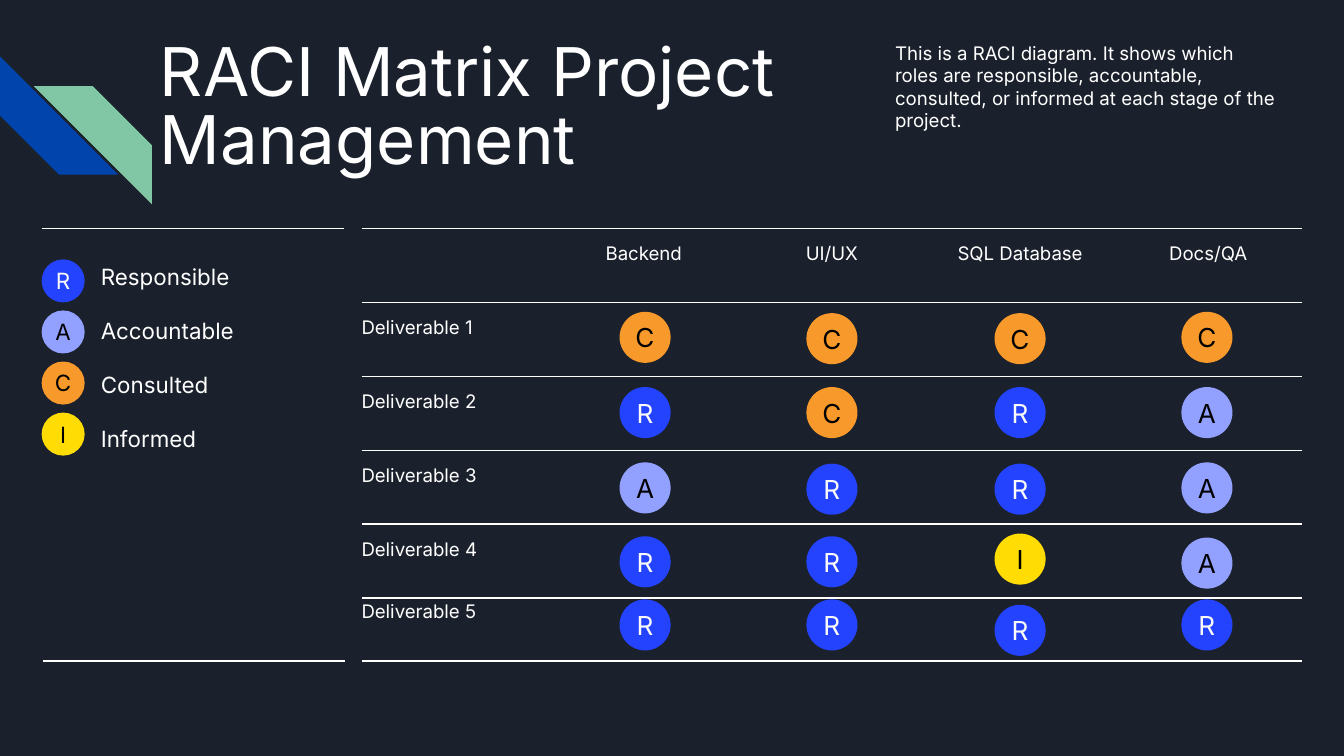
from dataclasses import dataclass

import pptx
import pptx.dml.color
import pptx.enum.shapes
import pptx.enum.text
import pptx.oxml.ns
import pptx.util
from lxml import etree
from pptx.util import Inches


@dataclass(frozen=True)
class Theme:
    font: str = "Inter"
    background: str = "1B212C"
    text: str = "FFFFFF"
    stripe_blue: str = "0145AC"
    stripe_green: str = "82C7A5"
    title: int = 36
    legend: int = 12
    badge: int = 14
    body: int = 10


theme = Theme()
rgb = pptx.dml.color.RGBColor.from_string
qn = pptx.oxml.ns.qn
MSO_SHAPE = pptx.enum.shapes.MSO_SHAPE
PP_ALIGN = pptx.enum.text.PP_ALIGN
MSO_ANCHOR = pptx.enum.text.MSO_ANCHOR

ROLES = {
    "R": ("Responsible", "2443FF", "FAFAFA"),
    "A": ("Accountable", "92A1FF", "000000"),
    "C": ("Consulted", "F8992B", "000000"),
    "I": ("Informed", "FFDD04", "000000"),
}


def write(s, lines, size, color=theme.text, align=PP_ALIGN.LEFT,
          anchor=MSO_ANCHOR.TOP, right=0, gap=0, spacing=1.0):
    tf = s.text_frame
    tf.word_wrap = True
    tf.auto_size = pptx.enum.text.MSO_AUTO_SIZE.NONE
    tf.vertical_anchor = anchor
    tf.margin_left = tf.margin_top = tf.margin_bottom = 0
    tf.margin_right = Inches(right)
    for i, line in enumerate(lines):
        p = tf.paragraphs[0] if i == 0 else tf.add_paragraph()
        p.alignment = align
        p.line_spacing = spacing
        p.space_before = pptx.util.Pt(gap if i else 0)
        if s.is_placeholder:
            pPr = p._p.get_or_add_pPr()
            pPr.set("marL", "0")
            pPr.set("indent", "0")
            etree.SubElement(pPr, qn("a:buNone"))
        r = p.add_run()
        r.text = line
        r.font.name = theme.font
        r.font.size = pptx.util.Pt(size)
        r.font.color.rgb = rgb(color)


def add_filled(kind, x, y, size, color):
    s = slide.shapes.add_shape(kind, Inches(x), Inches(y), Inches(size), Inches(size))
    s.shadow.inherit = False
    s.fill.solid()
    s.fill.fore_color.rgb = rgb(color)
    s.line.fill.background()
    return s


prs = pptx.Presentation()
prs.slide_width = Inches(10)
prs.slide_height = prs.slide_width * 9 // 16
slide = prs.slides.add_slide(prs.slide_layouts[1])
slide.background.fill.solid()
slide.background.fill.fore_color.rgb = rgb(theme.background)

for x, y, angle, color in [(0, 0.42, 270, theme.stripe_blue),
                           (0.25, 0.64, 90, theme.stripe_green)]:
    s = add_filled(MSO_SHAPE.DIAGONAL_STRIPE, x, y, 0.88, color)
    s.rotation = angle

title = slide.shapes.title
title.left, title.top, title.width, title.height = map(Inches, (1.19, 0.31, 4.91, 1.03))
write(title, ["RACI Matrix Project Management"], theme.title, spacing=0.85)

intro = slide.shapes.add_textbox(*map(Inches, (6.66, 0.31, 3.03, 0.88)))
write(intro, ["This is a RACI diagram. It shows which roles are responsible, "
              "accountable, consulted, or informed at each stage of the project."],
      theme.body, right=0.2)

legend = slide.placeholders[1]
legend.left, legend.top, legend.width, legend.height = map(Inches, (0.75, 1.96, 1.4, 1.43))
write(legend, [name for name, fill, ink in ROLES.values()], theme.legend, right=0.2, gap=14.5)

badges = [(role, 0.31, 1.93 + 0.38 * i, 0.32, theme.legend) for i, role in enumerate(ROLES)]

table_left, column = 2.69, 1.4
rules = [(0.31, 2.56, 1.7), (0.32, 2.57, 4.92), (table_left, 9.69, 4.92)]
rules += [(table_left, 9.69, 1.7 + 0.55 * i) for i in range(6)]
for x1, x2, y in rules:
    s = slide.shapes.add_connector(pptx.enum.shapes.MSO_CONNECTOR.STRAIGHT,
                                   Inches(x1), Inches(y), Inches(x2), Inches(y))
    s.line.color.rgb = rgb(theme.text)
    s.line.width = pptx.util.Pt(0.75)
    etree.SubElement(s._element.spPr, qn("a:effectLst"))

labels = [(name, table_left + column * i, 1.8, PP_ALIGN.CENTER)
          for i, name in enumerate(["Backend", "UI/UX", "SQL Database", "Docs/QA"], 1)]
badge_lefts = (4.61, 6, 7.4, 8.79)
rows = [
    ("Deliverable 1", 2.35, "CCCC", (2.32, 2.33, 2.33, 2.32)),
    ("Deliverable 2", 2.9, "RCRA", (2.88, 2.88, 2.88, 2.88)),
    ("Deliverable 3", 3.45, "ARRA", (3.44, 3.45, 3.45, 3.44)),
    ("Deliverable 4", 4, "RRIA", (3.99, 3.99, 3.97, 4)),
    ("Deliverable 5", 4.46, "RRRR", (4.46, 4.46, 4.5, 4.46)),
]
for name, top, roles, tops in rows:
    labels.append((name, table_left, top, PP_ALIGN.LEFT))
    for role, x, y in zip(roles, badge_lefts, tops):
        badges.append((role, x, y, 0.38, theme.badge))

for name, x, y, align in labels:
    s = slide.shapes.add_textbox(Inches(x), Inches(y), Inches(column), Inches(0.38))
    write(s, [name], theme.body, align=align)

for role, x, y, size, type_size in badges:
    name, fill, ink = ROLES[role]
    s = add_filled(MSO_SHAPE.OVAL, x, y, size, fill)
    write(s, [role], type_size, ink, PP_ALIGN.CENTER, MSO_ANCHOR.MIDDLE)

prs.save("out.pptx")
